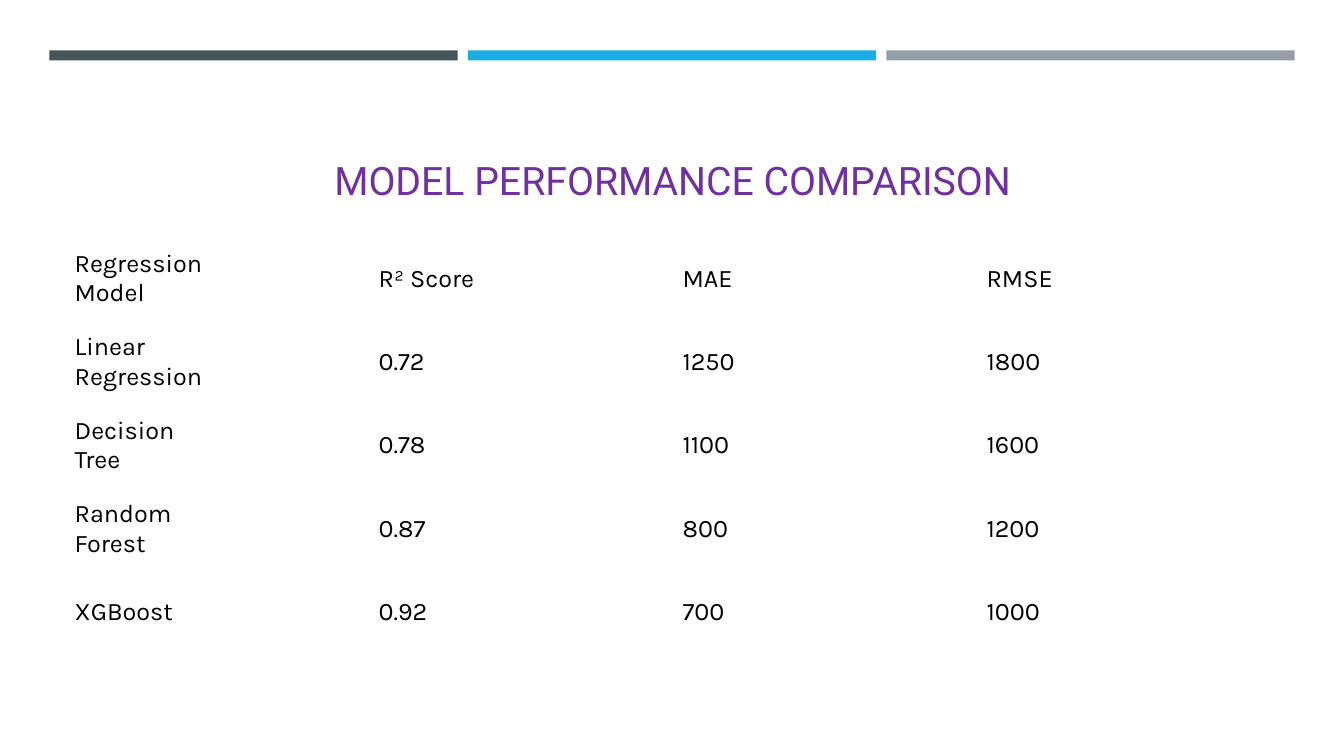
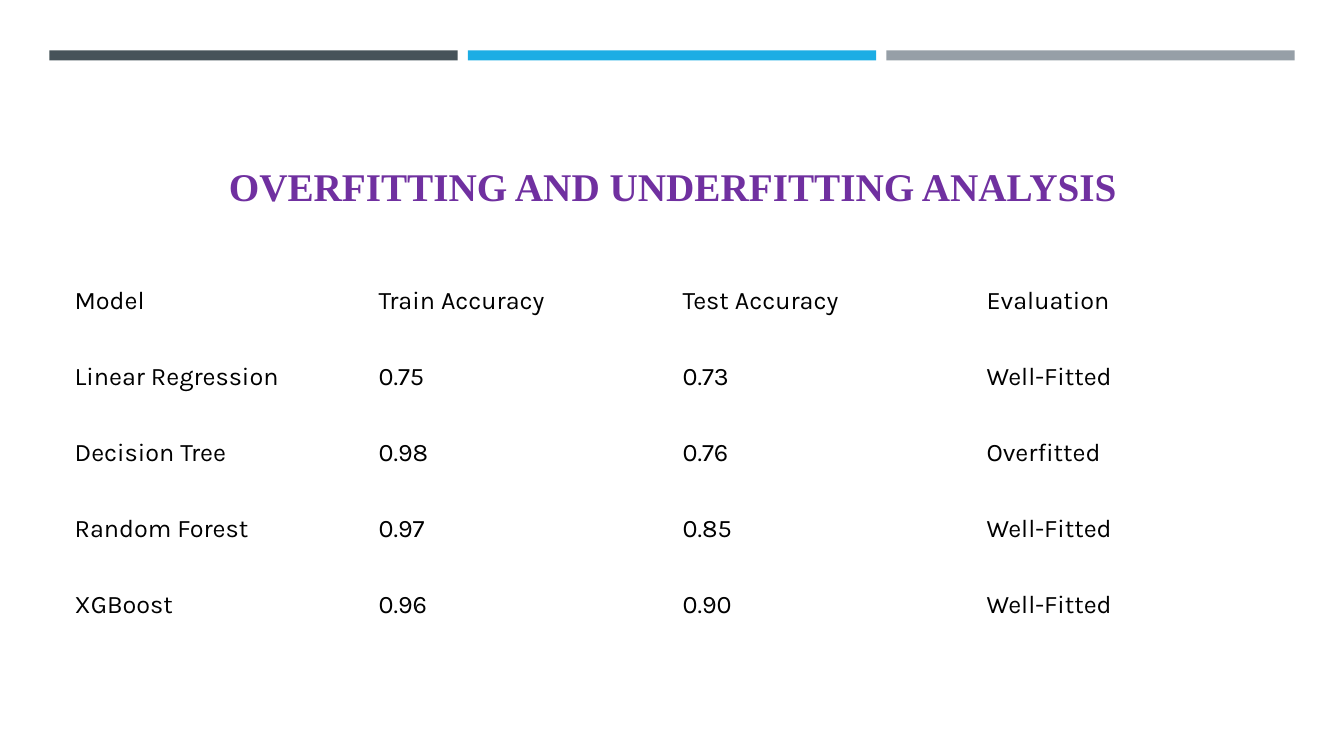
from pptx import Presentation
from pptx import util as u
from pptx.dml.color import RGBColor
from pptx.enum import shapes, text

# Content: each table column of text is followed by `spare` empty columns
SLIDES = [
    dict(
        title="MODEL PERFORMANCE COMPARISON", font="Roboto", bold=False,
        title_top=0.77, table_top=2.35, table_height=4.14, spare=1,
        rows=[
            ("Regression Model", "R² Score", "MAE", "RMSE"),
            ("Linear Regression", "0.72", "1250", "1800"),
            ("Decision Tree", "0.78", "1100", "1600"),
            ("Random Forest", "0.87", "800", "1200"),
            ("XGBoost", "0.92", "700", "1000"),
        ],
    ),
    dict(
        title="OVERFITTING AND UNDERFITTING ANALYSIS", font="Times New Roman", bold=True,
        title_top=0.83, table_top=2.61, table_height=3.77, spare=0,
        rows=[
            ("Model", "Train Accuracy", "Test Accuracy", "Evaluation"),
            ("Linear Regression", "0.75", "0.73", "Well-Fitted"),
            ("Decision Tree", "0.98", "0.76", "Overfitted"),
            ("Random Forest", "0.97", "0.85", "Well-Fitted"),
            ("XGBoost", "0.96", "0.90", "Well-Fitted"),
        ],
    ),
]

# Shared look
BANDS = ["465359", "1CADE4", "969FA7"]
BAND_LEFT, BAND_TOP, BAND_WIDTH, BAND_HEIGHT, BAND_GAP = 0.49, 0.5, 4.05, 0.1, 0.1
LEFT, WIDTH = 0.64, 12.06
TITLE_HEIGHT = 1.3
PURPLE, BLACK = "7030A0", "000000"


def set_font(paragraph, name, size, color, bold=False):
    font = paragraph.font
    font.name, font.size, font.bold = name, u.Pt(size), bold
    font.color.rgb = RGBColor.from_string(color)


def add_bands(slide):
    for i, color in enumerate(BANDS):
        left = BAND_LEFT + i * (BAND_WIDTH + BAND_GAP)
        band = slide.shapes.add_shape(
            shapes.MSO_SHAPE.RECTANGLE, u.Inches(left), u.Inches(BAND_TOP),
            u.Inches(BAND_WIDTH), u.Inches(BAND_HEIGHT))
        band.shadow.inherit = False
        band.fill.solid()
        band.fill.fore_color.rgb = RGBColor.from_string(color)
        band.line.fill.background()


def set_title(slide, content):
    title = slide.shapes.title
    title.left, title.top = u.Inches(LEFT), u.Inches(content["title_top"])
    title.width, title.height = u.Inches(WIDTH), u.Inches(TITLE_HEIGHT)
    frame = title.text_frame
    frame.text = content["title"]
    frame.word_wrap = True
    frame.auto_size = text.MSO_AUTO_SIZE.NONE
    frame.vertical_anchor = text.MSO_ANCHOR.BOTTOM
    heading = frame.paragraphs[0]
    heading.alignment = text.PP_ALIGN.CENTER
    set_font(heading, content["font"], 28, PURPLE, content["bold"])


def add_results(slide, content):
    rows, step = content["rows"], content["spare"] + 1
    results = slide.shapes.add_table(
        len(rows), len(rows[0]) * step, u.Inches(LEFT), u.Inches(content["table_top"]),
        u.Inches(WIDTH), u.Inches(content["table_height"])).table
    results.first_row = results.horz_banding = False
    for cell in results.iter_cells():
        cell.fill.background()
        cell.vertical_anchor = text.MSO_ANCHOR.MIDDLE
    for r, row in enumerate(rows):
        for c, value in enumerate(row):
            cell = results.cell(r, c * step)
            cell.text = value
            set_font(cell.text_frame.paragraphs[0], "Karla", 18, BLACK)


def main():
    deck = Presentation()
    deck.slide_width, deck.slide_height = u.Inches(13.33), u.Inches(7.5)
    title_only = deck.slide_layouts[5]
    for content in SLIDES:
        slide = deck.slides.add_slide(title_only)
        add_bands(slide)
        set_title(slide, content)
        add_results(slide, content)
    deck.save("out.pptx")


if __name__ == "__main__":
    main()
